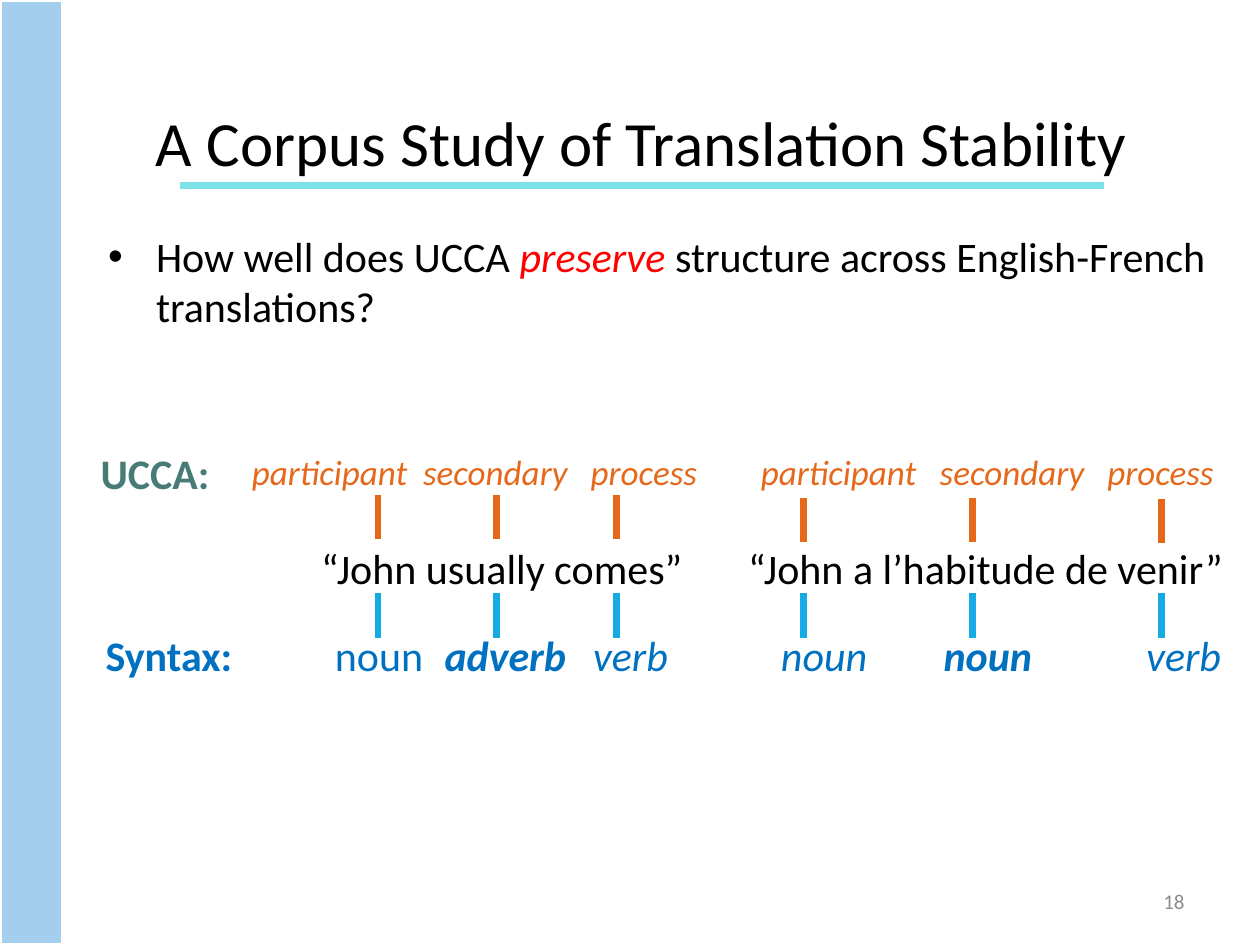
from dataclasses import dataclass
from lxml.etree import SubElement
from pptx import Presentation
from pptx.dml.color import RGBColor as RGB
from pptx.enum.shapes import MSO_CONNECTOR as Connector, MSO_SHAPE as Preset
from pptx.enum.text import MSO_ANCHOR as Anchor, PP_ALIGN as Align
from pptx.oxml.ns import qn
from pptx.util import Inches, Pt


@dataclass(frozen=True)
class Theme:
    font: str = "Calibri"
    ink: str = "000000"
    white: str = "FFFFFF"
    band: str = "A3CEED"
    rule: str = "7DE2E7"
    stress: str = "FF0000"
    ucca: str = "E5681B"
    ucca_label: str = "487B78"
    syntax: str = "0070C0"
    syntax_tick: str = "16ABE4"
    page: str = "8C8C8C"
    title_size: int = 36
    body_size: int = 24
    role_size: int = 20
    page_size: int = 12
    line: int = 4


theme = Theme()
deck = Presentation()
deck.slide_width, deck.slide_height = Inches(10), Inches(7.5)
slide = deck.slides.add_slide(deck.slide_layouts[6])


def add_text(box, runs, size, color, align=Align.LEFT, anchor=Anchor.TOP, tabs=()):
    frame = slide.shapes.add_textbox(*map(Inches, box)).text_frame
    frame.word_wrap = True
    frame.vertical_anchor = anchor
    paragraph = frame.paragraphs[0]
    paragraph.alignment = align
    for words, style in runs:
        run = paragraph.add_run()
        run.text = words
        run.font.color.rgb = RGB.from_string(style.get("color", color))
        format_values = {"name": theme.font, "size": Pt(size),
                         "bold": "b" in style.get("face", ""),
                         "italic": "i" in style.get("face", "")}
        for key, value in format_values.items():
            setattr(run.font, key, value)
    properties = paragraph._p.get_or_add_pPr()
    if tabs:
        stops = SubElement(properties, qn("a:tabLst"))
        for stop in tabs:
            offset = Inches(stop - box[0] - 0.1)
            SubElement(stops, qn("a:tab"), pos=str(offset), algn="l")
    return properties


def add_line(x1, y1, x2, y2, color):
    line = slide.shapes.add_connector(Connector.STRAIGHT, *map(Inches, (x1, y1, x2, y2)))
    line.line.color.rgb = RGB.from_string(color)
    line.line.width = Pt(theme.line)
    SubElement(line._element.spPr, qn("a:effectLst"))


band = slide.shapes.add_shape(Preset.RECTANGLE, 0, 0, Inches(0.5), Inches(7.5))
band.shadow.inherit = False
band.fill.solid()
band.fill.fore_color.rgb = RGB.from_string(theme.band)
band.line.color.rgb = RGB.from_string(theme.white)
band.line.width = Pt(2)

question = add_text((0.76, 1.78, 9.41, 5.17), [
    ("How well does UCCA ", {}),
    ("preserve ", {"color": theme.stress, "face": "i"}),
    ("structure across English-French translations?", {}),
], theme.body_size, theme.ink)
hanging = Inches(0.38)
question.set("marL", str(hanging))
question.set("indent", str(-hanging))
SubElement(question, qn("a:buFont"), typeface="Arial")
SubElement(question, qn("a:buChar"), char="•")

add_text((0.59, 0.5, 9, 1.25), [("A Corpus Study of Translation Stability", {})],
         theme.title_size, theme.ink, Align.CENTER, Anchor.MIDDLE)
add_line(1.43, 1.47, 8.76, 1.47, theme.rule)
add_text((7.17, 6.95, 2.33, 0.4), [("18", {})],
         theme.page_size, theme.page, Align.RIGHT, Anchor.MIDDLE)

add_text((2.45, 4.26, 7.56, 0.5),
         [("“John usually comes”\t“John a l’habitude de venir”", {})],
         theme.body_size, theme.ink, tabs=[5.94])

roles = ["participant", "secondary", "process"] * 2
add_text((1.9, 3.53, 7.9, 0.44), [("\t".join(roles), {"face": "i"})],
         theme.role_size, theme.ucca, tabs=[3.36, 4.69, 6.04, 7.46, 8.79])
add_text((0.7, 3.5, 1.08, 0.5), [("UCCA:", {"face": "b"})],
         theme.body_size, theme.ucca_label)

add_text((0.74, 4.95, 9.16, 0.5), [
    ("Syntax:", {"face": "b"}),
    ("\tnoun\t", {}),
    ("adverb", {"face": "bi"}),
    ("\tverb\tnoun\t", {"face": "i"}),
    ("noun", {"face": "bi"}),
    ("\tverb", {"face": "i"}),
], theme.body_size, theme.syntax, tabs=[2.66, 3.53, 4.71, 6.2, 7.49, 9.1])

tick_height = 0.35
ticks = [(3, 3.93), (3.94, 3.93), (4.89, 3.93), (6.38, 3.95), (7.72, 3.95), (9.22, 3.96)]
for x, ucca_top in ticks:
    for top, color in ((ucca_top, theme.ucca), (4.71, theme.syntax_tick)):
        add_line(x, top, x, top + tick_height, color)

deck.save("out.pptx")
